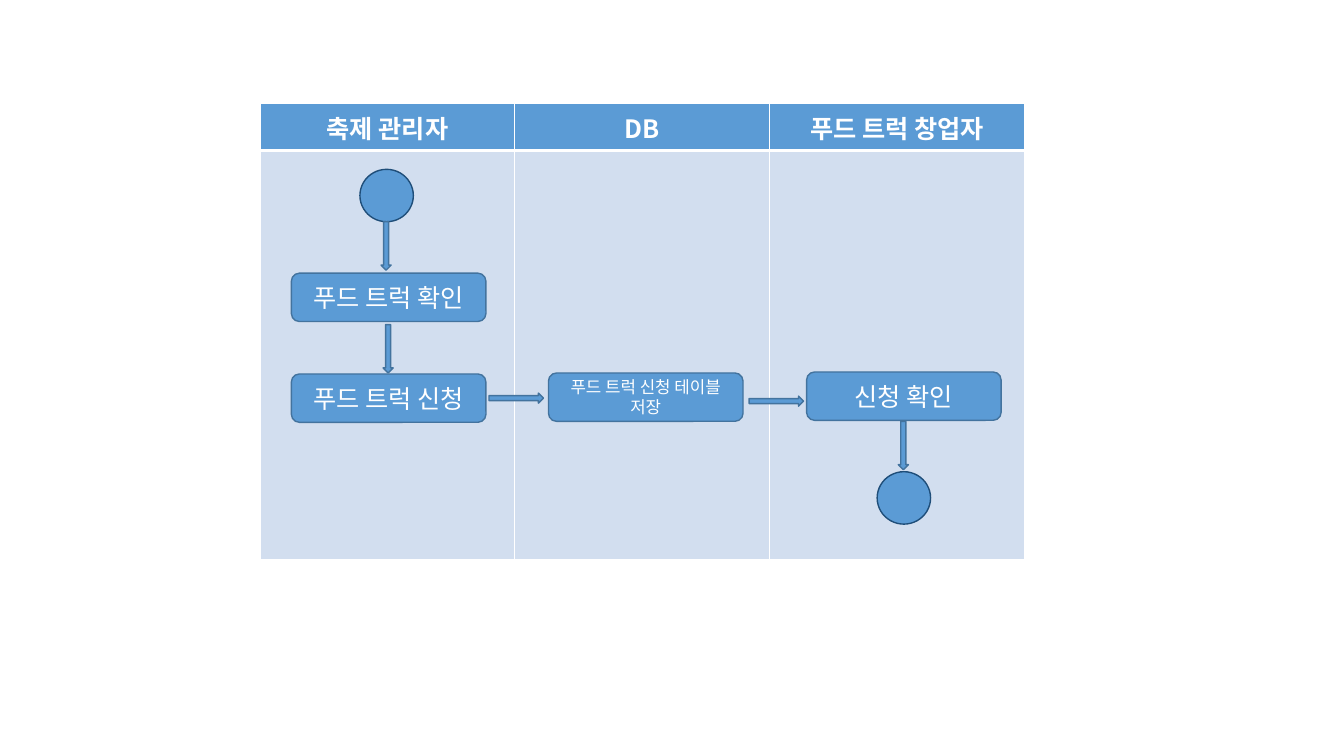
from dataclasses import dataclass
from lxml.etree import SubElement
from pptx import Presentation
from pptx.dml.color import RGBColor as RGB
from pptx.enum.shapes import MSO_SHAPE as SHAPE
from pptx.enum.text import MSO_ANCHOR as ANCHOR, PP_ALIGN as ALIGN
from pptx.oxml import parse_xml
from pptx.oxml.ns import nsdecls, qn
from pptx.util import Inches, Pt


@dataclass(frozen=True)
class Theme:
    """Colours, font and sizes of the swimlane diagram."""
    font: str = "Noto Sans CJK KR"
    blue: str = "5B9BD5"
    lane: str = "D2DEEF"
    step_line: str = "43739E"
    terminal_line: str = "1F4E79"
    white: str = "FFFFFF"
    normal: int = 18
    small: int = 12
    thin: int = 1
    thick: int = 3


THEME = Theme()
LANES = ["축제 관리자", "DB", "푸드 트럭 창업자"]
STEPS = [
    ("푸드 트럭 확인", 2.89, 2.71, THEME.normal),
    ("푸드 트럭 신청", 2.89, 3.71, THEME.normal),
    ("푸드 트럭 신청 테이블 저장", 5.44, 3.7, THEME.small),
    ("신청 확인", 8, 3.69, THEME.normal),
]
TERMINALS = [(3.57, 1.68), (8.7, 4.68)]
DOWN_ARROWS = [(3.78, 2.2), (3.8, 3.22), (8.91, 4.18)]
RIGHT_ARROWS = [(4.85, 3.9), (7.43, 3.93)]


def write_text(frame, text, size=THEME.normal, color=THEME.white, bold=False):
    """Write one centred line of formatted text into a text frame."""
    paragraph = frame.paragraphs[0]
    paragraph.alignment = ALIGN.CENTER
    run = paragraph.add_run()
    run.text = text
    font = run.font
    font.name, font.size, font.bold = THEME.font, Pt(size), bold
    font.color.rgb = RGB.from_string(color)
    SubElement(font._element, qn("a:ea"), typeface=THEME.font)


def add_node(slide, kind, left, top, width, height, line=THEME.step_line):
    """Add one flat blue diagram shape and return it."""
    node = slide.shapes.add_shape(
        kind, Inches(left), Inches(top), Inches(width), Inches(height))
    node.shadow.inherit = False
    node.fill.solid()
    node.fill.fore_color.rgb = RGB.from_string(THEME.blue)
    node.line.color.rgb = RGB.from_string(line)
    node.line.width = Pt(THEME.thin)
    return node


def add_step(slide, text, left, top, size):
    """Add a rounded activity box with its label."""
    step = add_node(slide, SHAPE.ROUNDED_RECTANGLE, left, top, 1.93, 0.48)
    step.text_frame.word_wrap = True
    step.text_frame.vertical_anchor = ANCHOR.MIDDLE
    write_text(step.text_frame, text, size=size)


def style_cell(cell, fill, top, bottom):
    """Fill a lane cell and give it white borders."""
    cell.fill.solid()
    cell.fill.fore_color.rgb = RGB.from_string(fill)
    properties = cell._tc.get_or_add_tcPr()
    widths = {"lnL": THEME.thin, "lnR": THEME.thin, "lnT": top, "lnB": bottom}
    for position, (side, width) in enumerate(widths.items()):
        properties.insert(position, parse_xml(
            f'<a:{side} {nsdecls("a")} w="{Pt(width)}"><a:solidFill>'
            f'<a:srgbClr val="{THEME.white}"/></a:solidFill></a:{side}>'))


def add_lanes(slide):
    """Add the swimlane table with one column for each role."""
    lanes = slide.shapes.add_table(
        2, len(LANES), Inches(2.58), Inches(1.03), Inches(7.58), Inches(4.45)).table
    lanes.rows[0].height, lanes.rows[1].height = Inches(0.39), Inches(4.06)
    for column, role in enumerate(LANES):
        header, body = lanes.cell(0, column), lanes.cell(1, column)
        style_cell(header, THEME.blue, THEME.thin, THEME.thick)
        style_cell(body, THEME.lane, THEME.thick, THEME.thin)
        write_text(header.text_frame, role, bold=True)


def main():
    """Build the food truck application flow and save it."""
    deck = Presentation()
    deck.slide_width, deck.slide_height = Inches(13.33), Inches(7.5)
    slide = deck.slides.add_slide(deck.slide_layouts[6])
    add_lanes(slide)
    for left, top in TERMINALS:
        add_node(slide, SHAPE.OVAL, left, top, 0.53, 0.52, line=THEME.terminal_line)
    for step in STEPS:
        add_step(slide, *step)
    for left, top in DOWN_ARROWS:
        add_node(slide, SHAPE.DOWN_ARROW, left, top, 0.1, 0.48)
    for left, top in RIGHT_ARROWS:
        add_node(slide, SHAPE.RIGHT_ARROW, left, top, 0.54, 0.1)
    deck.save("out.pptx")


main()
